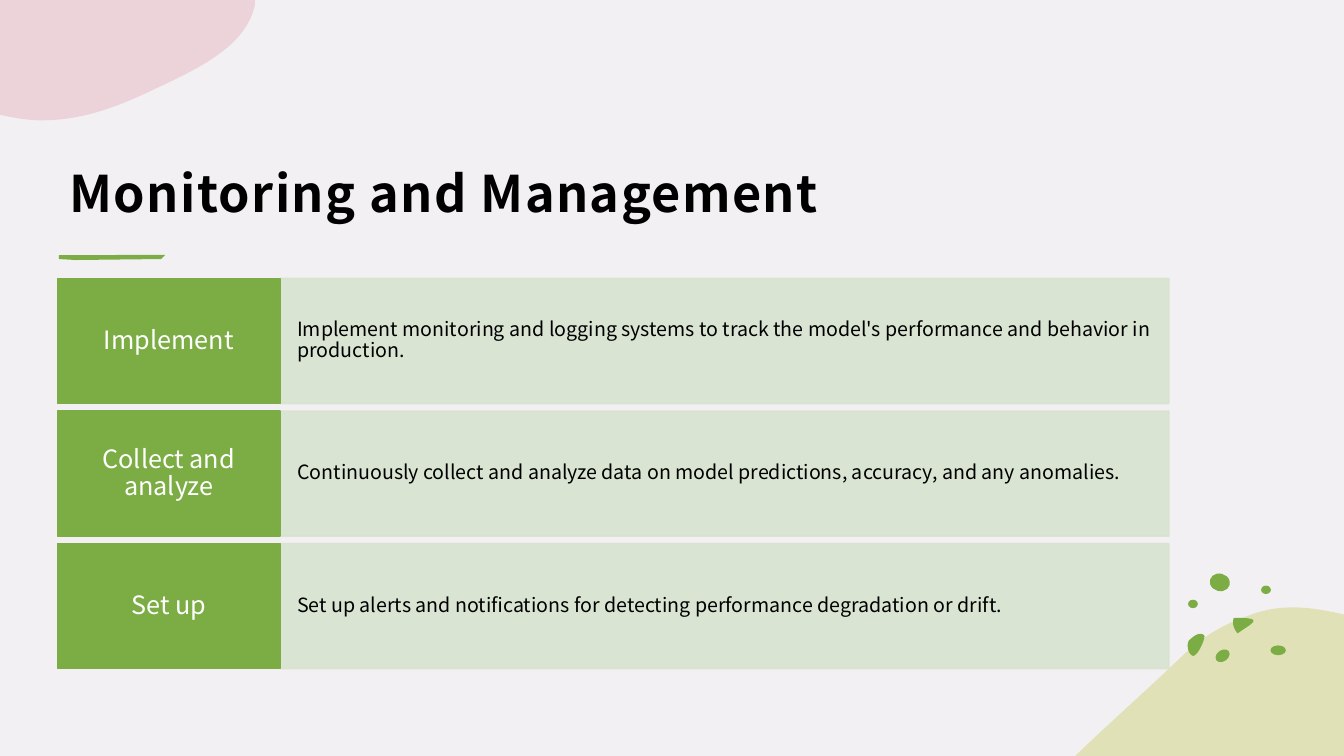
from dataclasses import dataclass

from lxml import etree
from pptx import Presentation
from pptx.dml.color import RGBColor
from pptx.enum import shapes, text
from pptx.oxml import ns
from pptx.util import Pt


@dataclass(frozen=True)
class Theme:
    font: str = "Noto Sans CJK JP"
    back: str = "F2F0F3"
    green: str = "7CAD44"
    pale: str = "D7E3CF"
    pink: str = "E7B8C1"
    olive: str = "D0D47D"
    ink: str = "000000"
    white: str = "FFFFFF"
    head: float = 36
    label: float = 18
    body: float = 14


@dataclass(frozen=True)
class Blob:
    """Closed outline: each step is a line (x, y) or a cubic (x1, y1, x2, y2, x, y)."""
    start: tuple[float, float]
    steps: list[tuple[float, ...]]
    fill: str
    alpha: int = 100


@dataclass(frozen=True)
class Spot:
    x: float
    y: float
    width: float
    height: float
    turn: float = 0


@dataclass(frozen=True)
class Cell:
    left: float
    width: float
    fill: str
    alpha: int
    ink: str
    size: float
    align: text.PP_ALIGN
    pad: tuple[float, float]


@dataclass(frozen=True)
class Row:
    label: str
    body: str


LOOK = Theme()
WIDE, TALL = 960, 540
LEFT, TOP, HIGH, PITCH = 41.2, 198.9, 89.4, 94.7
LABEL = Cell(LEFT, 158.8, LOOK.green, 100, LOOK.white, LOOK.label,
             text.PP_ALIGN.CENTER, (8.9, 8.9))
BODY = Cell(200, 635, LOOK.pale, 90, LOOK.ink, LOOK.body,
            text.PP_ALIGN.LEFT, (12.3, 22.7))

ROWS = [
    Row("Implement", "Implement monitoring and logging systems to track the model's "
        "performance and behavior in production."),
    Row("Collect and analyze", "Continuously collect and analyze data on model "
        "predictions, accuracy, and any anomalies."),
    Row("Set up", "Set up alerts and notifications for detecting performance "
        "degradation or drift."),
]

HILL = Blob((WIDE, 439), [
    (WIDE, TALL), (768, TALL), (793, 516, 819, 493, 842, 471),
    (858, 455, 874, 446, 891, 440), (914, 431, 935, 433, WIDE, 439)], LOOK.olive, 50)
CORNER = Blob((0, 0), [
    (182, 0), (182, 4), (176, 32, 144, 48, 114, 62),
    (89, 74, 62, 86, 30, 86), (19, 86, 9, 84, 0, 82)], LOOK.pink, 50)
LEAF = Blob((860.4, 454.3), [
    (860, 459, 855, 469, 852, 468.5), (848, 467, 847, 458, 850.5, 456.5),
    (855, 452, 859, 452, 860.4, 454.3)], LOOK.green)
WEDGE = Blob((881.3, 441.4), [
    (900, 441, 896, 444, 892, 447), (884, 452.4),
    (881, 449, 880, 445, 881.3, 441.4)], LOOK.green)
STROKE = Blob((42, 182.3), [(118, 182), (115, 185), (54, 185.7), (42, 185)], LOOK.green)
SPOTS = [Spot(873.3, 468.4, 11, 8, -35), Spot(913, 464.5, 11, 7),
         Spot(871.3, 416, 14.5, 12.5, 15), Spot(904.3, 421.3, 7, 6),
         Spot(852.1, 431.4, 7, 6)]


def tint(fill, color: str, alpha: int = 100) -> None:
    """Make a fill solid, with opacity in percent."""
    fill.solid()
    fill.fore_color.rgb = RGBColor.from_string(color)
    if alpha < 100:
        node = fill._xPr.find(".//" + ns.qn("a:srgbClr"))
        etree.SubElement(node, ns.qn("a:alpha"), val=str(alpha * 1000))


def trace(blob: Blob, count: int = 16) -> list[tuple[int, int]]:
    """Turn the steps of an outline into a list of vertices."""
    spots, (x, y) = [], blob.start
    for step in blob.steps:
        if len(step) == 2:
            spots.append(step)
        else:
            a, b, c, d, e, f = step
            for i in range(1, count + 1):
                t = i / count
                s = 1 - t
                k = (s ** 3, 3 * s * s * t, 3 * s * t * t, t ** 3)
                spots.append(tuple(sum(m * v for m, v in zip(k, axis))
                                   for axis in ((x, a, c, e), (y, b, d, f))))
        x, y = step[-2:]
    return [(Pt(px), Pt(py)) for px, py in spots]


def coat(shape, color: str, alpha: int = 100) -> None:
    """Fill a shape, with no line and no shadow."""
    shape.shadow.inherit = False
    tint(shape.fill, color, alpha)
    shape.line.fill.background()


def paint(slide, blob: Blob) -> None:
    pen = slide.shapes.build_freeform(*map(Pt, blob.start))
    pen.add_line_segments(trace(blob), close=True)
    coat(pen.convert_to_shape(), blob.fill, blob.alpha)


def dot(slide, spot: Spot) -> None:
    area = map(Pt, (spot.x - spot.width / 2, spot.y - spot.height / 2,
                    spot.width, spot.height))
    shape = slide.shapes.add_shape(shapes.MSO_SHAPE.OVAL, *area)
    shape.rotation = spot.turn
    coat(shape, LOOK.green)


def write(shape, words: str, size: float, ink: str, align, lead: float,
          pads: tuple[float, float, float, float]):
    """Set one styled paragraph, with left, top, right and bottom insets."""
    frame = shape.text_frame
    frame.text = words
    frame.word_wrap = True
    frame.auto_size = text.MSO_AUTO_SIZE.NONE
    (frame.margin_left, frame.margin_top,
     frame.margin_right, frame.margin_bottom) = map(Pt, pads)
    para = frame.paragraphs[0]
    para.alignment, para.line_spacing = align, lead
    font = para.runs[0].font
    font.name, font.size = LOOK.font, Pt(size)
    font.color.rgb = RGBColor.from_string(ink)
    return font


def box(slide, cell: Cell, top: float, words: str) -> None:
    area = map(Pt, (cell.left, top, cell.width, HIGH))
    shape = slide.shapes.add_shape(shapes.MSO_SHAPE.RECTANGLE, *area)
    shape.shadow.inherit = False
    tint(shape.fill, cell.fill, cell.alpha)
    tint(shape.line.fill, cell.fill, cell.alpha)
    shape.line.width = Pt(1)
    write(shape, words, cell.size, cell.ink, cell.align, 0.9, cell.pad * 2)
    shape.text_frame.vertical_anchor = text.MSO_ANCHOR.MIDDLE


def head(slide, words: str) -> None:
    title = slide.shapes.title
    title.left, title.top, title.width, title.height = map(Pt, (LEFT, 62, 793.4, 104.4))
    font = write(title, words, LOOK.head, LOOK.ink, text.PP_ALIGN.LEFT, 1.17,
                 (8.6, 8.6, 8.6, 7.2))
    font.bold = True
    font._element.set("spc", "100")
    title.text_frame.vertical_anchor = text.MSO_ANCHOR.BOTTOM


def main() -> None:
    deck = Presentation()
    deck.slide_width, deck.slide_height = Pt(WIDE), Pt(TALL)
    slide = deck.slides.add_slide(deck.slide_layouts[5])
    tint(slide.background.fill, LOOK.back)
    for blob in (HILL, CORNER, LEAF, WEDGE, STROKE):
        paint(slide, blob)
    for spot in SPOTS:
        dot(slide, spot)
    head(slide, "Monitoring and Management")
    for i, row in enumerate(ROWS):
        top = TOP + i * PITCH
        box(slide, BODY, top, row.body)
        box(slide, LABEL, top, row.label)
    deck.save("out.pptx")


if __name__ == "__main__":
    main()
